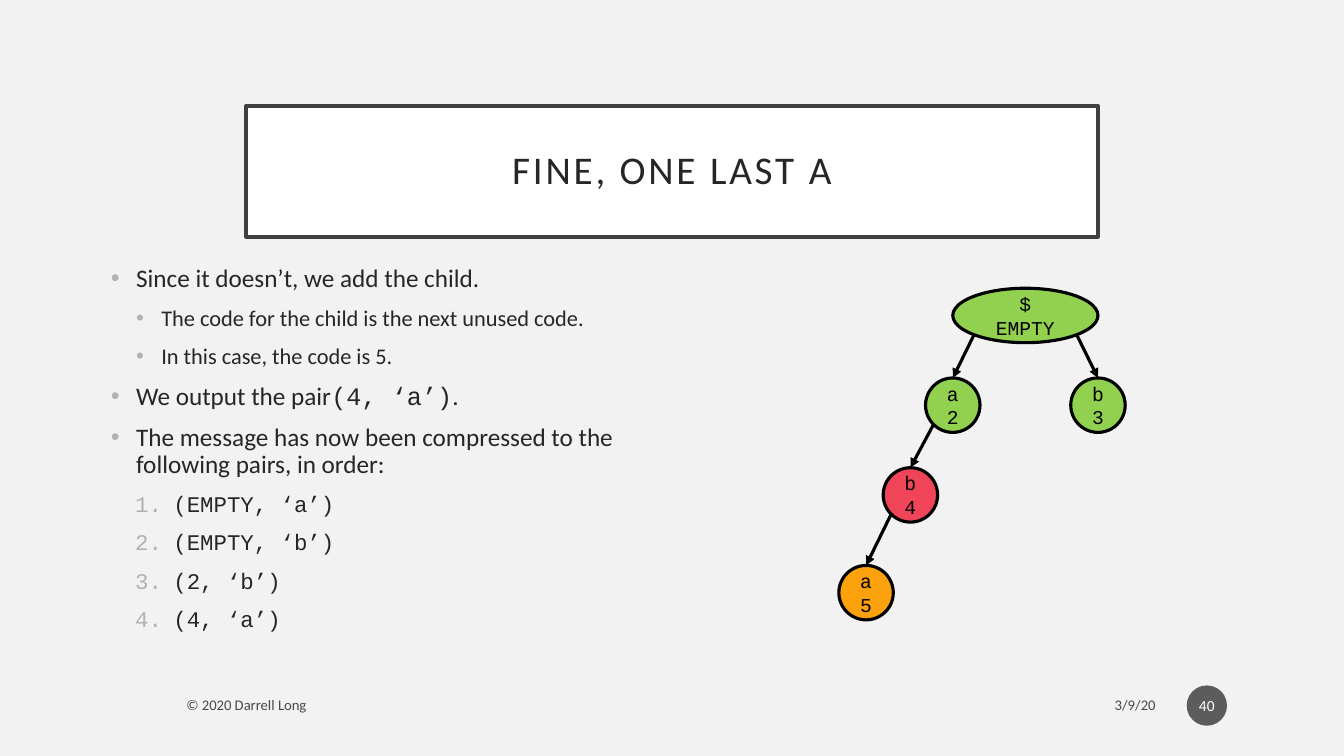
from lxml import etree
from pptx import Presentation, util as u
from pptx.dml.color import RGBColor
from pptx.enum import shapes, text
from pptx.oxml.ns import qn

SANS, MONO = "Calibri", "Courier New"
PAPER = RGBColor(0xF2, 0xF2, 0xF2)
WHITE = RGBColor(0xFF, 0xFF, 0xFF)
BLACK = RGBColor(0, 0, 0)
INK = RGBColor(0x26, 0x26, 0x26)
FRAME = RGBColor(0x40, 0x40, 0x40)
BADGE = RGBColor(0x1D, 0x1D, 0x1D)
BULLET = RGBColor(0xB2, 0xB2, 0xB2)
GREEN = RGBColor(0x92, 0xD0, 0x50)
RED = RGBColor(0xF0, 0x44, 0x58)
ORANGE = RGBColor(0xFA, 0xA1, 0x0C)

# Content
TITLE = "FINE, ONE LAST A"
# style, then runs of (words, font)
POINTS = [
    ("point", [("Since it doesn’t, we add the child.", SANS)]),
    ("detail", [("The code for the child is the next unused code.", SANS)]),
    ("detail", [("In this case, the code is 5.", SANS)]),
    ("point", [("We output the pair", SANS), ("(4, ‘a’)", MONO), (".", SANS)]),
    ("point", [("The message has now been compressed to the following pairs, in order:", SANS)]),
    ("pair", [("(EMPTY, ‘a’)", MONO)]),
    ("pair", [("(EMPTY, ‘b’)", MONO)]),
    ("pair", [("(2, ‘b’)", MONO)]),
    ("pair", [("(4, ‘a’)", MONO)]),
]
# level, size, left margin, hanging indent
STYLES = {
    "point": (0, 18, 0.25, 0.25),
    "detail": (1, 16, 0.5, 0.25),
    "pair": (1, 16, 0.62, 0.38),
}
# key: label, centre x, centre y, width, fill, parent
NODE = 0.54
TREE = {
    "root": ("$\nEMPTY", 10.17, 3.13, 1.44, GREEN, None),
    "2": ("a\n2", 9.45, 4.02, NODE, GREEN, "root"),
    "3": ("b\n3", 10.89, 4.02, NODE, GREEN, "root"),
    "4": ("b\n4", 9.03, 4.91, NODE, RED, "2"),
    "5": ("a\n5", 8.59, 5.88, NODE, ORANGE, "4"),
}
# words, left, width, alignment
FOOTERS = [
    ("3/9/20", 8.55, 3.01, text.PP_ALIGN.RIGHT),
    ("© 2020 Darrell Long", 1.75, 6.45, text.PP_ALIGN.LEFT),
]

deck = Presentation()
deck.slide_width, deck.slide_height = u.Inches(13.33), u.Inches(7.5)
page = deck.slides.add_slide(deck.slide_layouts[1])
page.background.fill.solid()
page.background.fill.fore_color.rgb = PAPER


def place(shape, left, top, width, height):
    shape.left, shape.top = u.Inches(left), u.Inches(top)
    shape.width, shape.height = u.Inches(width), u.Inches(height)


def style_font(font, name, size, color):
    font.name, font.size = name, u.Pt(size)
    font.color.rgb = color


def write(shape, words, name, size, color, align):
    frame = shape.text_frame
    frame.text = words
    frame.word_wrap = True
    frame.vertical_anchor = text.MSO_ANCHOR.MIDDLE
    for para in frame.paragraphs:
        para.alignment = align
        for span in para.runs:
            style_font(span.font, name, size, color)


def fade(properties):
    """Make a solid fill 70 % opaque."""
    color = properties.find(qn("a:solidFill"))[0]
    etree.SubElement(color, qn("a:alpha")).set("val", "70000")


def set_bullet(para, style):
    level, size, margin, hang = STYLES[style]
    para.level = level
    props = para._p.get_or_add_pPr()
    props.set("marL", str(u.Inches(margin)))
    props.set("indent", str(-u.Inches(hang)))
    color = etree.SubElement(props, qn("a:buClr"))
    etree.SubElement(color, qn("a:srgbClr")).set("val", str(BULLET))
    if style == "pair":
        etree.SubElement(props, qn("a:buFontTx"))
        etree.SubElement(props, qn("a:buAutoNum")).set("type", "arabicPeriod")
    else:
        etree.SubElement(props, qn("a:buFont")).set("typeface", "Arial")
        etree.SubElement(props, qn("a:buChar")).set("char", "•")


def add_ellipse(center_x, center_y, width, height, fill):
    oval = page.shapes.add_shape(
        shapes.MSO_SHAPE.OVAL, u.Inches(center_x - width / 2),
        u.Inches(center_y - height / 2), u.Inches(width), u.Inches(height))
    oval.shadow.inherit = False
    oval.fill.solid()
    oval.fill.fore_color.rgb = fill
    return oval


# Title
title = page.shapes.title
place(title, 2.44, 1.05, 8.45, 1.3)
title.fill.solid()
title.fill.fore_color.rgb = WHITE
title.line.color.rgb, title.line.width = FRAME, u.Pt(2.5)
write(title, TITLE, SANS, 28, INK, text.PP_ALIGN.CENTER)
title.text_frame.auto_size = text.MSO_AUTO_SIZE.NONE
title.text_frame.paragraphs[0].line_spacing = 0.9
title.text_frame.paragraphs[0].runs[0].font._element.set("spc", "200")

# Bulleted and numbered list
body = page.placeholders[1]
place(body, 1, 2.59, 5.67, 3.74)
frame = body.text_frame
frame.auto_size = text.MSO_AUTO_SIZE.NONE
frame.vertical_anchor = text.MSO_ANCHOR.TOP
for number, (style, spans) in enumerate(POINTS):
    para = frame.add_paragraph() if number else frame.paragraphs[0]
    set_bullet(para, style)
    para.line_spacing = 0.9
    para.space_before = u.Pt(10 if number else 0)
    for words, name in spans:
        span = para.add_run()
        span.text = words
        style_font(span.font, name, STYLES[style][1], INK)

# Footer and page number
for words, left, width, align in FOOTERS:
    box = page.shapes.add_textbox(
        u.Inches(left), u.Inches(6.82), u.Inches(width), u.Inches(0.35))
    write(box, words, SANS, 10.5, BLACK, align)
    fade(box.text_frame.paragraphs[0].runs[0].font._element)

badge = add_ellipse(11.97, 7.0, 0.4, 0.4, BADGE)
badge.line.fill.background()
fade(badge._element.spPr)
write(badge, "40", SANS, 11, WHITE, text.PP_ALIGN.CENTER)
badge.text_frame.margin_left = badge.text_frame.margin_right = u.Inches(0.02)

# Tree: each arrow leaves its parent on the diagonal and ends on the child's top
DIAGONAL = 0.5 ** 0.5
for label, x, y, width, fill, parent in TREE.values():
    node = add_ellipse(x, y, width, NODE, fill)
    node.line.color.rgb, node.line.width = BLACK, u.Pt(2.25)
    write(node, label, MONO, 14, BLACK, text.PP_ALIGN.CENTER)
    if parent is None:
        continue
    _, parent_x, parent_y, parent_width, _, _ = TREE[parent]
    side = 1 if x > parent_x else -1
    arrow = page.shapes.add_connector(
        shapes.MSO_CONNECTOR.STRAIGHT,
        u.Inches(parent_x + side * parent_width / 2 * DIAGONAL),
        u.Inches(parent_y + NODE / 2 * DIAGONAL),
        u.Inches(x), u.Inches(y - NODE / 2))
    arrow.end_connect(node, 0)
    arrow.line.color.rgb, arrow.line.width = BLACK, u.Pt(2.25)
    etree.SubElement(arrow.line._get_or_add_ln(), qn("a:tailEnd")).set("type", "triangle")
    etree.SubElement(arrow._element.spPr, qn("a:effectLst"))

deck.save("out.pptx")
